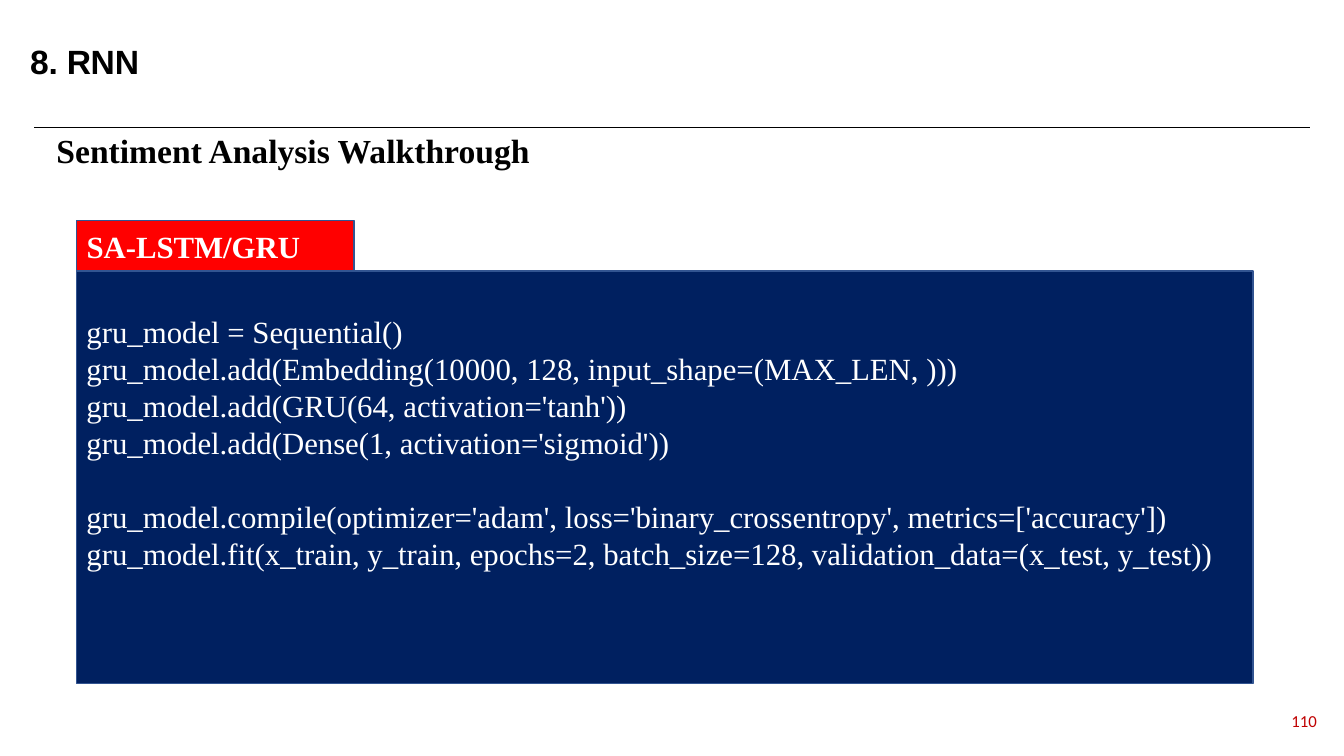
from dataclasses import dataclass

from lxml import etree
from pptx import Presentation
from pptx.dml.color import RGBColor
from pptx.enum.shapes import MSO_CONNECTOR, MSO_SHAPE
from pptx.enum.text import MSO_ANCHOR, PP_ALIGN
from pptx.oxml.ns import qn
from pptx.util import Inches, Pt

RECTANGLE = MSO_SHAPE.RECTANGLE
STRAIGHT = MSO_CONNECTOR.STRAIGHT
TOP, MIDDLE = MSO_ANCHOR.TOP, MSO_ANCHOR.MIDDLE
LEFT, RIGHT = PP_ALIGN.LEFT, PP_ALIGN.RIGHT

CHAPTER = "8. RNN"
TOPIC = "Sentiment Analysis Walkthrough"
MODEL_TAG = "SA-LSTM/GRU"
CODE_BLOCKS = [
    [
        "gru_model = Sequential()",
        "gru_model.add(Embedding(10000, 128, input_shape=(MAX_LEN, )))",
        "gru_model.add(GRU(64, activation='tanh'))",
        "gru_model.add(Dense(1, activation='sigmoid'))",
    ],
    [
        "gru_model.compile(optimizer='adam', loss='binary_crossentropy', metrics=['accuracy'])",
        "gru_model.fit(x_train, y_train, epochs=2, batch_size=128, validation_data=(x_test, y_test))",
    ],
]
PAGE = "110"


@dataclass(frozen=True)
class Theme:
    ink: str = "000000"
    light: str = "FFFFFF"
    navy: str = "002060"
    red: str = "FF0000"
    border: str = "325491"
    page: str = "C00000"
    sans: str = "Arial"
    serif: str = "Times New Roman"
    page_font: str = "Calibri"
    heading_size: float = 24
    code_size: float = 22
    page_size: float = 12
    code_pitch: float = 26.4
    inset: float = 0.1


THEME = Theme()


def write(shape, lines, font, size, color, bold=False, align=LEFT, anchor=TOP, indent=0, wrap=True):
    frame = shape.text_frame
    frame.text = "\n".join(lines)
    frame.word_wrap = wrap
    frame.vertical_anchor = anchor
    frame.margin_left = Inches(THEME.inset + indent)
    for paragraph in frame.paragraphs:
        paragraph.alignment = align
        for run in paragraph.runs:
            run.font.name = font
            run.font.size = Pt(size)
            run.font.bold = bold
            run.font.color.rgb = RGBColor.from_string(color)
    return frame


def add_label(slide, box, *args, **style):
    label = slide.shapes.add_textbox(*map(Inches, box))
    return write(label, *args, **style)


def add_panel(slide, box, fill):
    panel = slide.shapes.add_shape(RECTANGLE, *map(Inches, box))
    panel.shadow.inherit = False
    panel.fill.solid()
    panel.fill.fore_color.rgb = RGBColor.from_string(fill)
    panel.line.color.rgb = RGBColor.from_string(THEME.border)
    panel.line.width = Pt(1)
    return panel


def add_rule(slide, left, right, y):
    rule = slide.shapes.add_connector(STRAIGHT, Inches(left), Inches(y), Inches(right), Inches(y))
    rule.line.color.rgb = RGBColor.from_string(THEME.ink)
    rule.line.width = Pt(0.5)
    etree.SubElement(rule._element.spPr, qn("a:effectLst"))


def add_code(slide, left, top):
    tag_height = 0.5
    code = add_panel(slide, (left, top + tag_height, 11.67, 4.09), THEME.navy)
    lines = [line for block in CODE_BLOCKS for line in block]
    frame = write(code, lines, THEME.serif, THEME.code_size, THEME.light)
    frame.margin_top = Inches(0.05) + Pt(THEME.code_pitch)
    for paragraph in frame.paragraphs:
        paragraph.line_spacing = Pt(THEME.code_pitch)
    block_start = 0
    for block in CODE_BLOCKS[:-1]:
        block_start += len(block)
        frame.paragraphs[block_start].space_before = Pt(THEME.code_pitch)

    tag = add_panel(slide, (left, top, 2.75, tag_height), THEME.red)
    write(tag, [MODEL_TAG], THEME.serif, THEME.code_size, THEME.light, bold=True, anchor=MIDDLE)


def main():
    deck = Presentation()
    deck.slide_width, deck.slide_height = Inches(13.33), Inches(7.5)
    slide = deck.slides.add_slide(deck.slide_layouts[6])

    add_label(slide, (12.59, 6.95, 0.57, 0.4), [PAGE], THEME.page_font,
              THEME.page_size, THEME.page, align=RIGHT, anchor=MIDDLE)
    chapter = add_label(slide, (0.19, 0.36, 1.31, 0.5), [CHAPTER], THEME.sans,
                        THEME.heading_size, THEME.ink, bold=True, indent=0.01, wrap=False)
    chapter.paragraphs[0].runs[0].font._element.set("spc", "-20")
    add_rule(slide, 0.34, 12.99, 1.26)
    add_label(slide, (0.07, 1.24, 12.94, 0.5), [TOPIC], THEME.serif,
              THEME.heading_size, THEME.ink, bold=True, indent=0.39)
    add_code(slide, 0.76, 2.19)

    deck.save("out.pptx")


if __name__ == "__main__":
    main()
